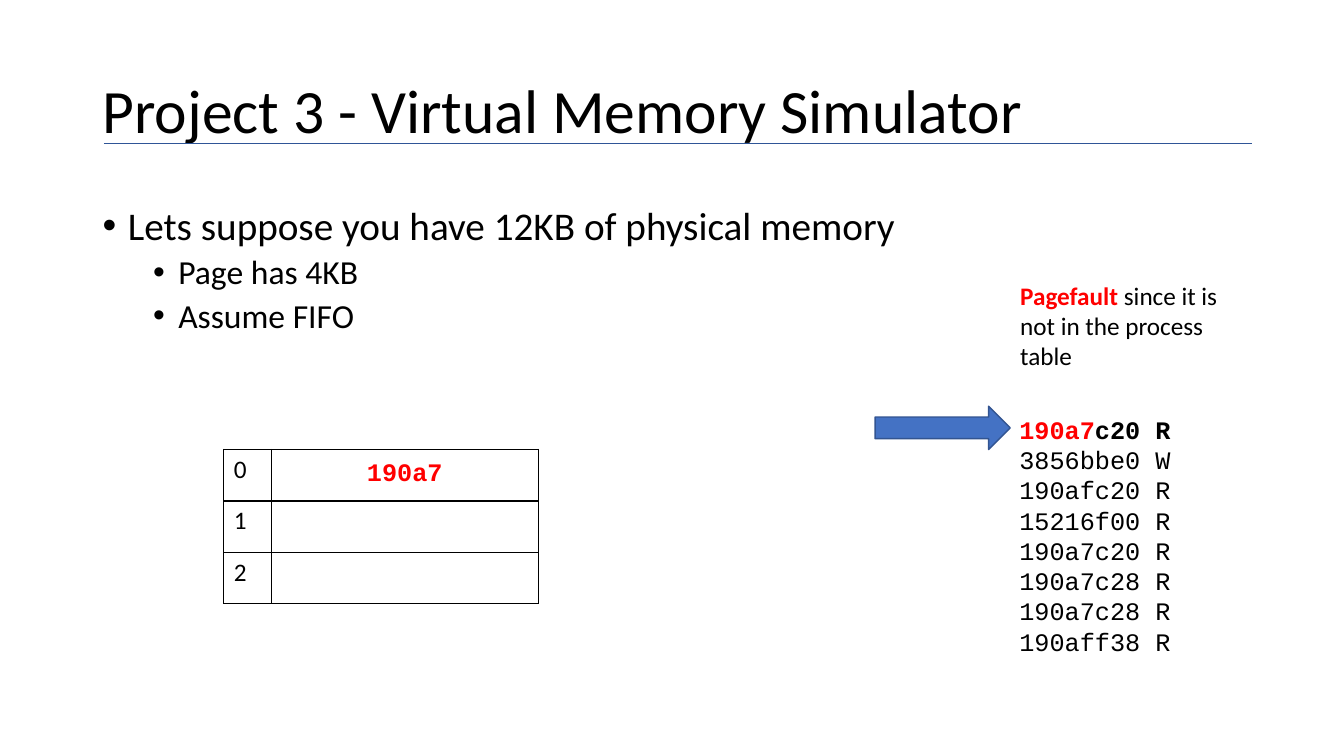
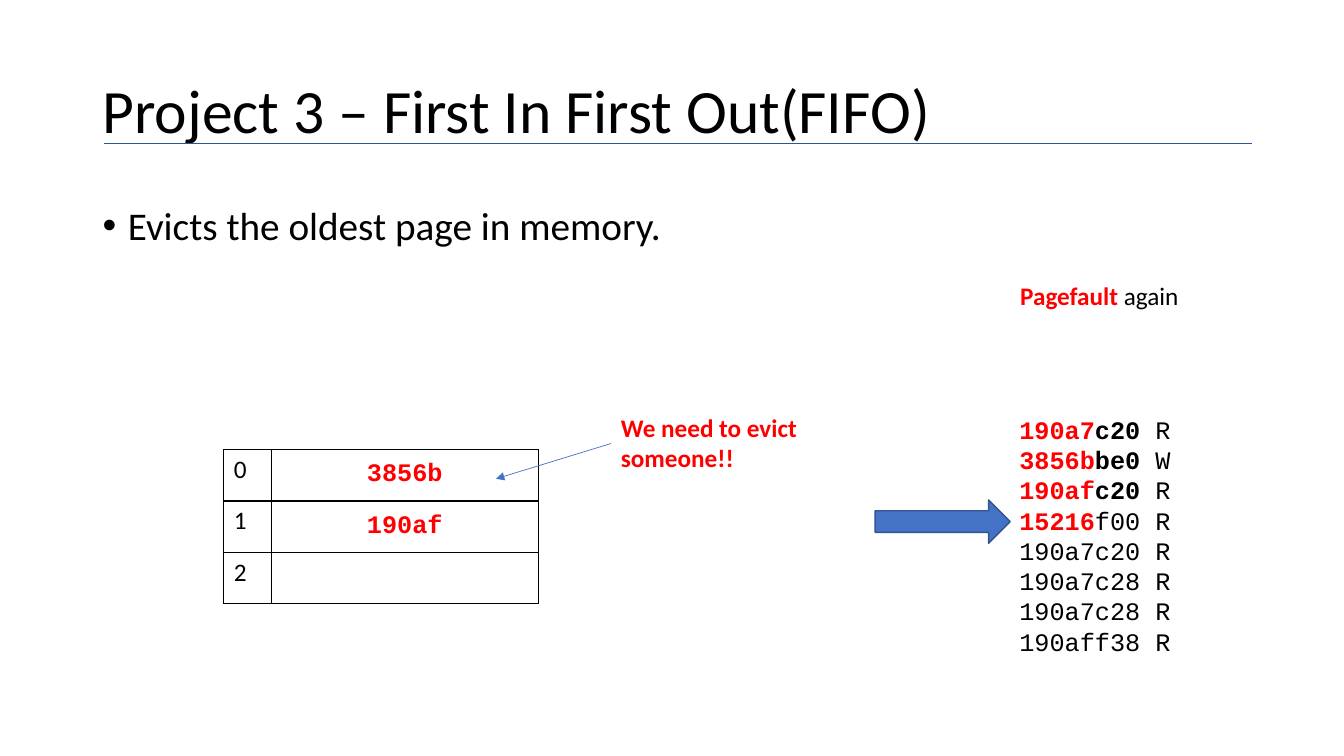
from dataclasses import dataclass
from typing import Sequence

from lxml.etree import SubElement
from pptx import Presentation
from pptx.dml.color import RGBColor
from pptx.enum.shapes import MSO_CONNECTOR as Link, MSO_SHAPE as Form
from pptx.enum.text import MSO_ANCHOR as Anchor, PP_ALIGN as Align
from pptx.oxml import parse_xml
from pptx.oxml.ns import nsdecls, qn
from pptx.util import Inches, Pt

BLACK, RED, BLUE = "000000", "FF0000", "4472C4"
RULE, EDGE = "2F5597", "325491"
SANS, MONO = "Calibri", "Courier New"
PITCH = 0.31
TRACE = ("190a7c20 R", "3856bbe0 W", "190afc20 R", "15216f00 R",
         "190a7c20 R", "190a7c28 R", "190a7c28 R", "190aff38 R")


@dataclass(frozen=True)
class Run:
    text: str
    color: str = BLACK
    bold: bool = False
    font: str = SANS
    size: float = 18


@dataclass(frozen=True)
class Point:
    text: str
    level: int = 0


@dataclass(frozen=True)
class Page:
    title: str
    points: Sequence[Point]
    note: str
    bold: Sequence[int]
    frames: Sequence[str]
    alert: str = ""


PAGES = (
    Page("Project 3 - Virtual Memory Simulator",
         (Point("Lets suppose you have 12KB of physical memory"),
          Point("Page has 4KB", 1), Point("Assume FIFO", 1)),
         " since it is not in the process table", (10,), ("190a7", "", "")),
    Page("Project 3 – First In First Out(FIFO)",
         (Point("Evicts the oldest page in memory."),),
         " again", (9, 8, 8, 5), ("3856b", "190af", ""),
         "We need to evict someone!!"),
)


def paint(code: str) -> RGBColor:
    return RGBColor.from_string(code)


def write(para, runs: Sequence[Run]) -> None:
    for item in runs:
        if item.text:
            run = para.add_run()
            run.text = item.text
            font = run.font
            font.name, font.size, font.bold = item.font, Pt(item.size), item.bold
            font.color.rgb = paint(item.color)


def add_text(slide, left: float, top: float, width: float, height: float,
             lines: Sequence[Sequence[Run]], align=Align.LEFT, anchor=Anchor.TOP):
    frame = slide.shapes.add_textbox(
        Inches(left), Inches(top), Inches(width), Inches(height)).text_frame
    frame.word_wrap = True
    frame.vertical_anchor = anchor
    for row, runs in enumerate(lines):
        para = frame.add_paragraph() if row else frame.paragraphs[0]
        para.alignment = align
        write(para, runs)
    return frame


def add_line(slide, start: tuple[float, float], end: tuple[float, float],
             color: str, head: bool = False) -> None:
    line = slide.shapes.add_connector(
        Link.STRAIGHT, *(Inches(n) for n in (*start, *end)))
    line.line.color.rgb = paint(color)
    line.line.width = Pt(0.5)
    if head:
        SubElement(line.line._get_or_add_ln(), qn("a:tailEnd"), type="triangle")
    SubElement(line._element.spPr, qn("a:effectLst"))


def add_title(slide, text: str) -> None:
    frame = add_text(slide, 0.92, 0.4, 11.5, 1.45, [[Run(text, size=44)]],
                     anchor=Anchor.MIDDLE)
    frame.paragraphs[0].line_spacing = 0.9
    add_line(slide, (1.03, 1.42), (12.42, 1.42), RULE)


def add_points(slide, points: Sequence[Point]) -> None:
    lines = [[Run(point.text, size=28 - 4 * point.level)] for point in points]
    frame = add_text(slide, 0.92, 2, 11.5, 1.84, lines)
    for para, point in zip(frame.paragraphs, points):
        para.level = point.level
        para.line_spacing = 0.9
        para.space_before = Pt(10 - 5 * point.level)
        props = para._p.get_or_add_pPr()
        props.set("marL", str(Inches(0.25 + 0.5 * point.level)))
        props.set("indent", str(Inches(-0.25)))
        SubElement(props, qn("a:buFont"), typeface="Arial")
        SubElement(props, qn("a:buChar"), char="•")


def add_trace(slide, bold: Sequence[int]) -> None:
    lines = []
    for row, text in enumerate(TRACE):
        cut = bold[row] if row < len(bold) else 0
        page = 5 if cut else 0
        lines.append([Run(text[:page], RED, True, MONO),
                      Run(text[page:cut], BLACK, True, MONO),
                      Run(text[cut:], font=MONO)])
    add_text(slide, 8.82, 4.06, 4.08, 2.52, lines, Align.CENTER)


def add_arrow(slide, row: int) -> None:
    arrow = slide.shapes.add_shape(
        Form.RIGHT_ARROW, Inches(8.68), Inches(4.03 + PITCH * row),
        Inches(1.34), Inches(0.43))
    arrow.shadow.inherit = False
    arrow.fill.solid()
    arrow.fill.fore_color.rgb = paint(BLUE)
    arrow.line.color.rgb = paint(EDGE)
    arrow.line.width = Pt(1)


def border(cell) -> None:
    cell.fill.background()
    props = cell._tc.get_or_add_tcPr()
    for spot, side in enumerate("LRTB"):
        props.insert(spot, parse_xml(
            f'<a:ln{side} {nsdecls("a")} w="{Pt(1)}"><a:solidFill>'
            f'<a:srgbClr val="{BLACK}"/></a:solidFill></a:ln{side}>'))


def add_frames(slide, frames: Sequence[str]) -> None:
    count = len(frames)
    table = slide.shapes.add_table(
        count, 2, Inches(2.22), Inches(4.46),
        Inches(3.12), Inches(0.51 * count)).table
    table.first_row = table.horz_banding = False
    for col, width in zip(table.columns, (0.47, 2.65)):
        col.width = Inches(width)
    for row, page in enumerate(frames):
        table.rows[row].height = Inches(0.51)
        index, value = table.cell(row, 0), table.cell(row, 1)
        border(index)
        border(value)
        write(index.text_frame.paragraphs[0], [Run(str(row))])
        value.vertical_anchor = Anchor.MIDDLE
        para = value.text_frame.paragraphs[0]
        para.alignment = Align.CENTER
        write(para, [Run(page, RED, True, MONO)])


def add_page(deck, page: Page) -> None:
    slide = deck.slides.add_slide(deck.slide_layouts[6])
    add_title(slide, page.title)
    add_points(slide, page.points)
    add_trace(slide, page.bold)
    add_frames(slide, page.frames)
    add_arrow(slide, len(page.bold) - 1)
    add_text(slide, 10.02, 2.73, 2.28, 1.01,
             [[Run("Pagefault", RED, True), Run(page.note)]])
    if page.alert:
        add_text(slide, 6.06, 4.04, 2.28, 0.71, [[Run(page.alert, RED, True)]])
        add_line(slide, (6.06, 4.4), (4.92, 4.75), BLUE, True)


def main() -> None:
    deck = Presentation()
    deck.slide_width, deck.slide_height = Inches(13.33), Inches(7.5)
    for page in PAGES:
        add_page(deck, page)
    deck.save("out.pptx")


main()
